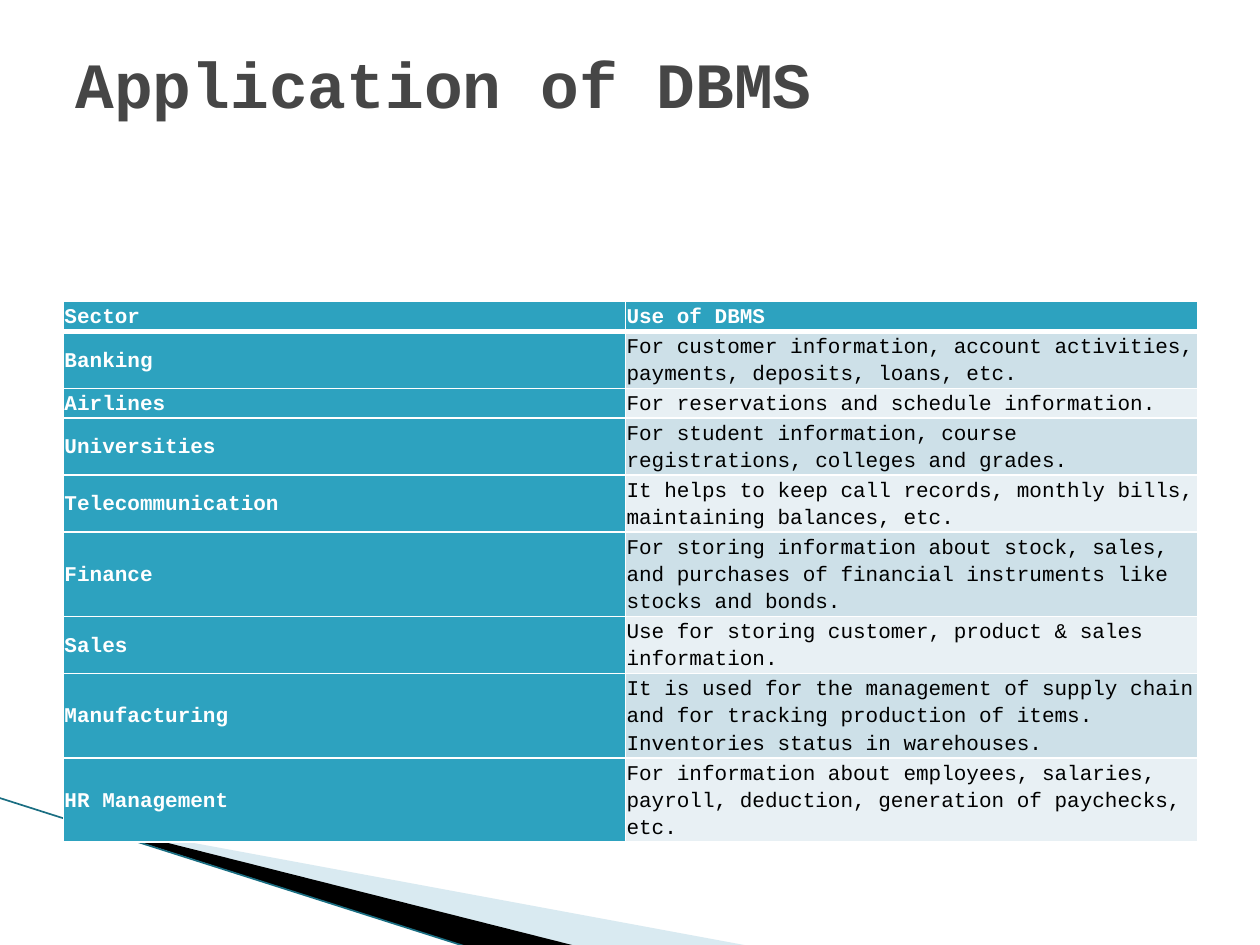
from lxml.etree import SubElement
from pptx import Presentation
from pptx.dml.color import RGBColor
from pptx.enum.shapes import MSO_CONNECTOR
from pptx.enum.text import MSO_ANCHOR
from pptx.oxml.ns import qn
from pptx.util import Cm, Pt

# Content
HEADING = "Application of DBMS"
HEADER = ("Sector", "Use of DBMS", 1)
# sector, use, lines of text in the row
SECTORS = [
    ("Banking", "For customer information, account activities, payments, deposits, loans, etc.", 2),
    ("Airlines", "For reservations and schedule information.", 1),
    ("Universities", "For student information, course registrations, colleges and grades.", 2),
    ("Telecommunication", "It helps to keep call records, monthly bills, maintaining balances, etc.", 2),
    ("Finance", "For storing information about stock, sales, and purchases of financial "
                "instruments like stocks and bonds.", 3),
    ("Sales", "Use for storing customer, product & sales information.", 2),
    ("Manufacturing", "It is used for the management of supply chain and for tracking production "
                      "of items. Inventories status in warehouses.", 3),
    ("HR Management", "For information about employees, salaries, payroll, deduction, generation "
                      "of paychecks, etc.", 3),
]
FONT = "Courier New"
COLORS = {
    "heading": "464646", "teal": "2DA2BF", "band_dark": "CDE0E8", "band_light": "E8F0F4",
    "white": "FFFFFF", "black": "000000", "pale_wedge": "A0CBDC", "edge": "1A6E82",
}
# Corner decoration, points in cm: color, opacity in percent, outline
WEDGES = [
    ("pale_wedge", 40, [(1.4, 16.53), (15.11, 19.07), (11.58, 19.07), (1.4, 16.51)]),
    ("black", 100, [(1.35, 16.48), (11.61, 19.07), (9.45, 19.1), (1.37, 16.51)]),
]
COLUMN_WIDTHS = (11.33, 11.53)
FIRST_LINE, NEXT_LINE = 0.6, 0.55


def rgb(name):
    return RGBColor.from_string(COLORS[name])


def style(paragraph, size, color, bold):
    font = paragraph.font
    font.name, font.size, font.bold = FONT, Pt(size), bold
    font.color.rgb = rgb(color)


def add_borders(cell, bottom):
    properties = cell._tc.get_or_add_tcPr()
    widths = (("a:lnL", 1), ("a:lnR", 1), ("a:lnT", 1), ("a:lnB", bottom))
    for tag, width in widths:
        border = SubElement(properties, qn(tag), w=str(Pt(width)))
        fill = SubElement(border, qn("a:solidFill"))
        SubElement(fill, qn("a:srgbClr"), val=COLORS["white"])


def fill_cell(cell, text, fill, color, bold, bottom):
    add_borders(cell, bottom)
    cell.fill.solid()
    cell.fill.fore_color.rgb = rgb(fill)
    cell.vertical_anchor = MSO_ANCHOR.MIDDLE
    cell.margin_left = cell.margin_right = cell.margin_top = cell.margin_bottom = Cm(0.02)
    cell.text = text
    paragraph = cell.text_frame.paragraphs[0]
    paragraph.line_spacing = 1.15
    style(paragraph, 12, color, bold)


deck = Presentation()
deck.slide_width, deck.slide_height = Cm(25.4), Cm(19.05)
slide = deck.slides.add_slide(deck.slide_layouts[6])
shapes = slide.shapes

# Corner decoration
for color, opacity, outline in WEDGES:
    points = [(Cm(x), Cm(y)) for x, y in outline]
    builder = shapes.build_freeform(*points[0])
    builder.add_line_segments(points[1:], close=True)
    wedge = builder.convert_to_shape()
    wedge.shadow.inherit = False
    wedge.fill.solid()
    wedge.fill.fore_color.rgb = rgb(color)
    wedge.line.fill.background()
    if opacity < 100:
        tint = wedge._element.spPr.find(".//" + qn("a:srgbClr"))
        SubElement(tint, qn("a:alpha"), val=str(opacity * 1000))

edge = shapes.add_connector(MSO_CONNECTOR.STRAIGHT, Cm(-0.03), Cm(16.08), Cm(9.45), Cm(19.1))
edge.line.color.rgb = rgb("edge")
edge.line.width = Pt(0.95)
SubElement(edge._element.spPr, qn("a:effectLst"))

# Table of sectors
rows = [HEADER] + SECTORS
heights = [FIRST_LINE + NEXT_LINE * (lines - 1) for _, _, lines in rows]
table = shapes.add_table(len(rows), 2, Cm(1.28), Cm(6.08),
                         Cm(sum(COLUMN_WIDTHS)), Cm(sum(heights))).table
for column, width in zip(table.columns, COLUMN_WIDTHS):
    column.width = Cm(width)
for i, (sector, use, _) in enumerate(rows):
    table.rows[i].height = Cm(heights[i])
    bottom = 3 if i == 0 else 1
    fill_cell(table.cell(i, 0), sector, "teal", "white", True, bottom)
    if i == 0:
        fill_cell(table.cell(i, 1), use, "teal", "white", True, bottom)
    else:
        band = "band_dark" if i % 2 else "band_light"
        fill_cell(table.cell(i, 1), use, band, "black", False, bottom)

# Heading
heading = shapes.add_textbox(Cm(1.27), Cm(0.76), Cm(22.86), Cm(3.18)).text_frame
heading.word_wrap = True
heading.vertical_anchor = MSO_ANCHOR.TOP
heading.text = HEADING
style(heading.paragraphs[0], 36.9, "heading", True)

deck.save("out.pptx")
